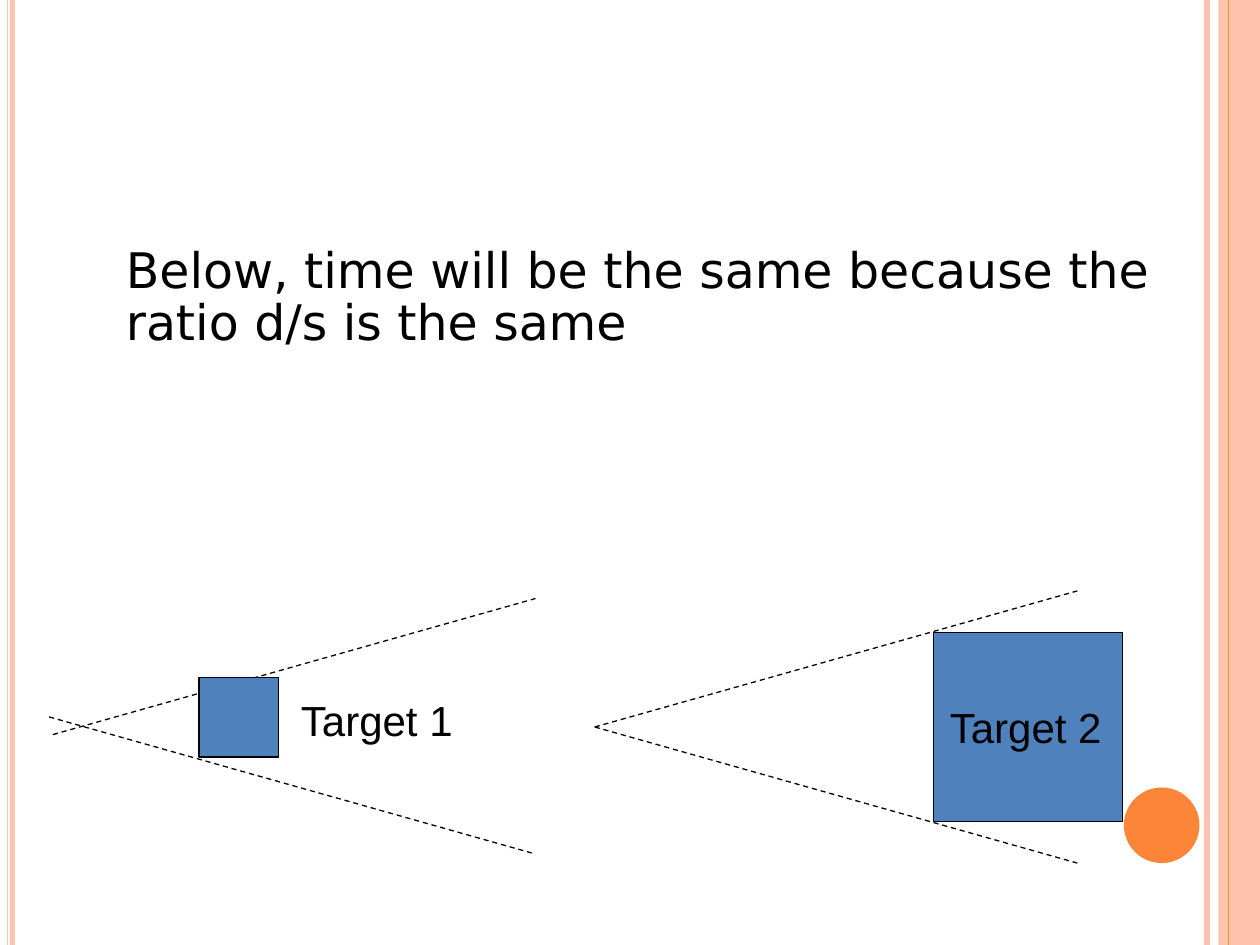
from lxml import etree
from pptx import Presentation
from pptx.dml.color import RGBColor
from pptx.enum import dml, shapes, text
from pptx.oxml import ns
from pptx.util import Inches, Pt

COLORS = {
    "peach": "FDC3AD",
    "orange": "FD8537",
    "target": "4F81BD",
    "ink": "000000",
}

deck = Presentation()
deck.slide_width, deck.slide_height = Inches(10), Inches(7.5)
slide = deck.slides.add_slide(deck.slide_layouts[6])


def add_line(start, end, color, width, dash=None):
    line = slide.shapes.add_connector(
        shapes.MSO_CONNECTOR.STRAIGHT, *map(Inches, (*start, *end)))
    line.line.color.rgb = RGBColor.from_string(COLORS[color])
    line.line.width = Pt(width)
    if dash:
        line.line.dash_style = dash
    etree.SubElement(line._element.spPr, ns.qn("a:effectLst"))


def add_label(box, words, font, size, inset=None):
    label = slide.shapes.add_textbox(*map(Inches, box))
    frame = label.text_frame
    frame.word_wrap = True
    frame.vertical_anchor = text.MSO_ANCHOR.TOP
    if inset is not None:
        frame.margin_left = frame.margin_right = Inches(inset)
        frame.margin_top = frame.margin_bottom = Inches(inset)
    run = frame.paragraphs[0].add_run()
    run.text = words
    run.font.name = font
    run.font.size = Pt(size)
    run.font.color.rgb = RGBColor.from_string(COLORS["ink"])
    return frame.paragraphs[0]


for x, color, width in [
    (9.58, "peach", 3),
    (0.1, "peach", 2.75),
    (0.06, "peach", 0.91),
    (9.74, "orange", 1.56),
]:
    add_line((x, 0), (x, 7.5), color, width)

for kind, box, color in [
    (shapes.MSO_SHAPE.RECTANGLE, (9.67, 0, 0.33, 7.5), "peach"),
    (shapes.MSO_SHAPE.OVAL, (8.92, 6.25, 0.6, 0.6), "orange"),
]:
    ornament = slide.shapes.add_shape(kind, *map(Inches, box))
    ornament.shadow.inherit = False
    ornament.fill.solid()
    ornament.fill.fore_color.rgb = RGBColor.from_string(COLORS[color])
    ornament.line.fill.background()
add_line((9.75, 0), (9.75, 7.5), "orange", 0.72)

statement = add_label(
    (1, 1.95, 8.5, 2.12),
    "Below, time will be the same because the ratio d/s is the same",
    "DejaVu Sans", 28, inset=0)
statement.line_spacing = 0.9

sight_run, sight_rise = 3.83, 1.08
for x, y, direction in [
    (0.42, 5.83, -1),
    (0.39, 5.69, 1),
    (4.72, 5.77, 1),
    (4.72, 5.77, -1),
]:
    add_line((x, y), (x + sight_run, y + direction * sight_rise),
             "ink", 0.75, dml.MSO_LINE.DASH)

for left, top, side, name, label_box in [
    (1.58, 5.38, 0.63, "Target 1", (2.29, 5.46, 1.5, 0.5)),
    (7.41, 5.02, 1.5, "Target 2", (7.44, 5.52, 1.58, 0.5)),
]:
    target = slide.shapes.add_shape(
        shapes.MSO_SHAPE.RECTANGLE, *map(Inches, (left, top, side, side)))
    target.shadow.inherit = False
    target.fill.solid()
    target.fill.fore_color.rgb = RGBColor.from_string(COLORS["target"])
    target.line.color.rgb = RGBColor.from_string(COLORS["ink"])
    target.line.width = Pt(0.75)
    add_label(label_box, name, "Arial", 24)

deck.save("out.pptx")
